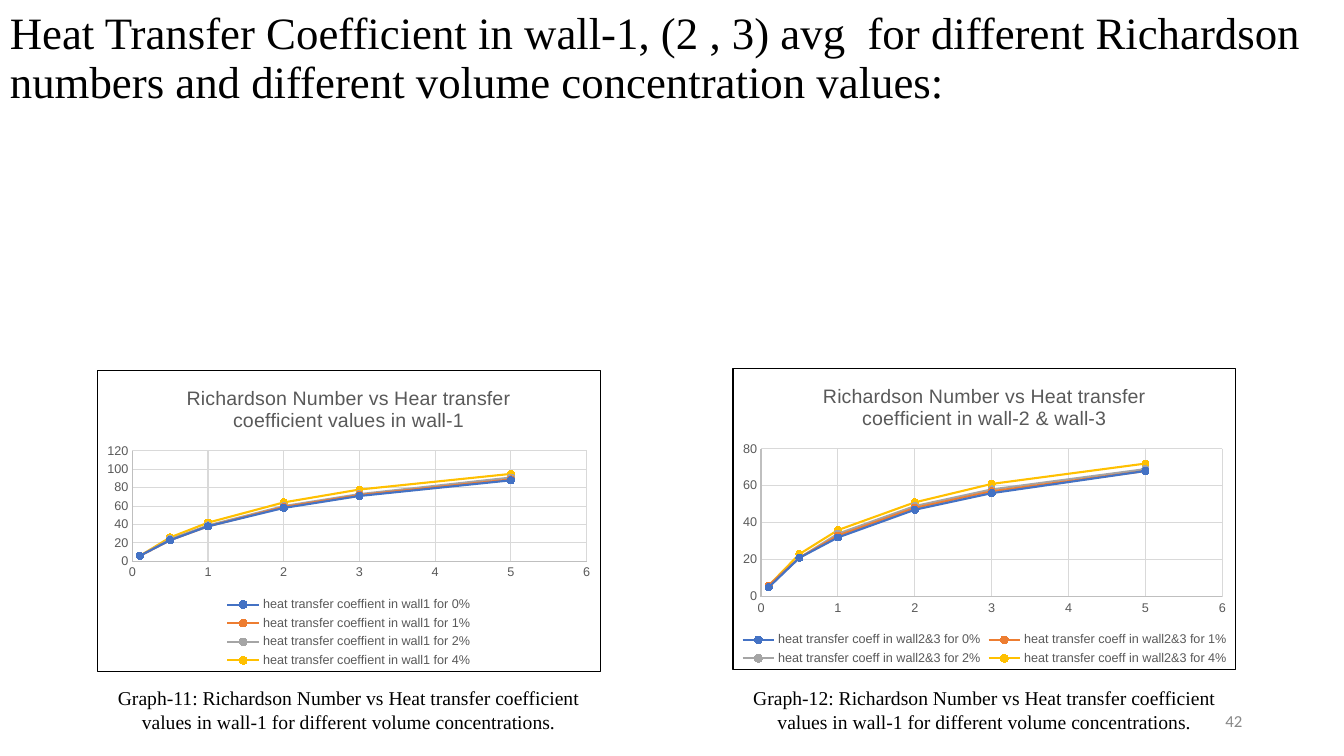
from dataclasses import dataclass
from lxml import etree
from pptx import Presentation
from pptx.chart.data import XyChartData
from pptx.dml.color import RGBColor
from pptx.enum.chart import (XL_CHART_TYPE, XL_LEGEND_POSITION, XL_MARKER_STYLE,
                             XL_TICK_MARK)
from pptx.enum.text import MSO_ANCHOR, PP_ALIGN
from pptx.util import Inches, Pt

SMOOTH = XL_CHART_TYPE.XY_SCATTER_SMOOTH
BOTTOM = XL_LEGEND_POSITION.BOTTOM
CIRCLE = XL_MARKER_STYLE.CIRCLE
NO_TICK = XL_TICK_MARK.NONE
TOP, MIDDLE = MSO_ANCHOR.TOP, MSO_ANCHOR.MIDDLE
LEFT, CENTER, RIGHT = PP_ALIGN.LEFT, PP_ALIGN.CENTER, PP_ALIGN.RIGHT

WIDE, HIGH = Inches(13.33), Inches(7.5)
COLS, ROWS = 100, 75
SERIF, SANS = "Times New Roman", "Arial"
GREY = "595959"
NUMBERS = [0.1, 0.5, 1, 2, 3, 5]
SHARES = {"0%": "4472C4", "1%": "ED7D31", "2%": "A5A5A5", "4%": "FFC000"}
C = "http://schemas.openxmlformats.org/drawingml/2006/chart"
A = "http://schemas.openxmlformats.org/drawingml/2006/main"
FRAME = (f'<c:spPr xmlns:c="{C}" xmlns:a="{A}">'
         '<a:solidFill><a:srgbClr val="FFFFFF"/></a:solidFill>'
         '<a:ln w="9525"><a:solidFill><a:srgbClr val="000000"/></a:solidFill></a:ln>'
         '</c:spPr>')


@dataclass
class Box:
    """A place on the slide in grid columns and rows."""
    col: float
    row: float
    wide: float
    high: float

    def place(self) -> tuple:
        dx, dy = WIDE / COLS, HIGH / ROWS
        return (int(self.col * dx), int(self.row * dy),
                int(self.wide * dx), int(self.high * dy))


@dataclass
class Label:
    text: str
    box: Box
    size: float
    font: str = SERIF
    color: str = "000000"
    align: PP_ALIGN = LEFT
    anchor: MSO_ANCHOR = MIDDLE
    line: float = 1.0


@dataclass
class Graph:
    title: str
    box: Box
    prefix: str
    top: int
    values: list
    note: str


GRAPHS = [
    Graph("Richardson Number vs Hear transfer coefficient values in wall-1",
          Box(7.2, 36.7, 37.5, 30), "heat transfer coeffient in wall1 for", 120,
          [[6, 23, 38, 58, 71, 88], [6, 23, 38, 59, 72, 89],
           [6, 24, 39, 60, 73, 91], [6, 26, 42, 64, 78, 95]], "Graph-11"),
    Graph("Richardson Number vs Heat transfer coefficient in wall-2 & wall-3",
          Box(54.5, 36.5, 37.5, 30), "heat transfer coeff in wall2&3 for", 80,
          [[5, 21, 32, 47, 56, 68], [6, 21, 33, 48, 57, 68],
           [6, 21, 34, 49, 58, 69], [6, 23, 36, 51, 61, 72]], "Graph-12"),
]
NOTE = (": Richardson Number vs Heat transfer coefficient values in wall-1 "
        "for different volume concentrations.")
LABELS = [
    Label("Heat Transfer Coefficient in wall-1, (2 , 3) avg  for different "
          "Richardson numbers and different volume concentration values:",
          Box(0, 0.6, 100.1, 10.6), 32, line=0.9),
    Label("42", Box(70.67, 69.5, 22.5, 4), 12, "Calibri", "888888", RIGHT),
]


def tint(code: str) -> RGBColor:
    return RGBColor.from_string(code)


def apply(item, values: dict) -> None:
    for name, value in values.items():
        setattr(item, name, value)


def style(font, size: float, name: str, color: str) -> None:
    apply(font, {"size": Pt(size), "name": name, "bold": False})
    font.color.rgb = tint(color)


def stroke(line, color: str, width: float) -> None:
    line.color.rgb = tint(color)
    line.width = Pt(width)


def write(slide, label: Label) -> None:
    frame = slide.shapes.add_textbox(*label.box.place()).text_frame
    apply(frame, {"word_wrap": True, "vertical_anchor": label.anchor})
    para = frame.paragraphs[0]
    apply(para, {"alignment": label.align, "line_spacing": label.line})
    run = para.add_run()
    run.text = label.text
    style(run.font, label.size, label.font, label.color)


def scale(axis, top: float, step: float) -> None:
    apply(axis, {"minimum_scale": 0, "maximum_scale": top, "major_unit": step,
                 "has_major_gridlines": True, "major_tick_mark": NO_TICK,
                 "minor_tick_mark": NO_TICK})
    stroke(axis.format.line, "BFBFBF", 0.75)
    stroke(axis.major_gridlines.format.line, "D9D9D9", 0.75)
    style(axis.tick_labels.font, 9, SANS, GREY)


def plot(slide, graph: Graph) -> None:
    data = XyChartData()
    for share, row in zip(SHARES, graph.values):
        series = data.add_series(f"{graph.prefix} {share}")
        for x, y in zip(NUMBERS, row):
            series.add_data_point(x, y)
    chart = slide.shapes.add_chart(SMOOTH, *graph.box.place(), data).chart
    style(chart.font, 10, SANS, "000000")
    chart.element.find(f"{{{C}}}chart").addnext(etree.fromstring(FRAME))
    apply(chart, {"has_title": True, "has_legend": True})

    para = chart.chart_title.text_frame.paragraphs[0]
    run = para.add_run()
    run.text = graph.title
    style(run.font, 14, SANS, GREY)
    chart.chart_title.include_in_layout = False
    apply(chart.legend, {"position": BOTTOM, "include_in_layout": False})
    style(chart.legend.font, 9, SANS, GREY)

    scale(chart.category_axis, 6, 1)
    scale(chart.value_axis, graph.top, 20)
    chart.plots[0].vary_by_categories = False
    for series, color in zip(chart.plots[0].series, SHARES.values()):
        series.smooth = True
        stroke(series.format.line, color, 1.5)
        apply(series.marker, {"style": CIRCLE, "size": 5})
        series.marker.format.fill.solid()
        series.marker.format.fill.fore_color.rgb = tint(color)
        stroke(series.marker.format.line, color, 0.75)


def main() -> None:
    deck = Presentation()
    apply(deck, {"slide_width": WIDE, "slide_height": HIGH})
    slide = deck.slides.add_slide(deck.slide_layouts[6])
    for label in LABELS:
        write(slide, label)
    for graph in GRAPHS:
        plot(slide, graph)
        box = Box(graph.box.col - 0.5, 67.6, graph.box.wide + 1, 5.7)
        write(slide, Label(graph.note + NOTE, box, 14, align=CENTER, anchor=TOP))
    deck.save("out.pptx")


if __name__ == "__main__":
    main()
